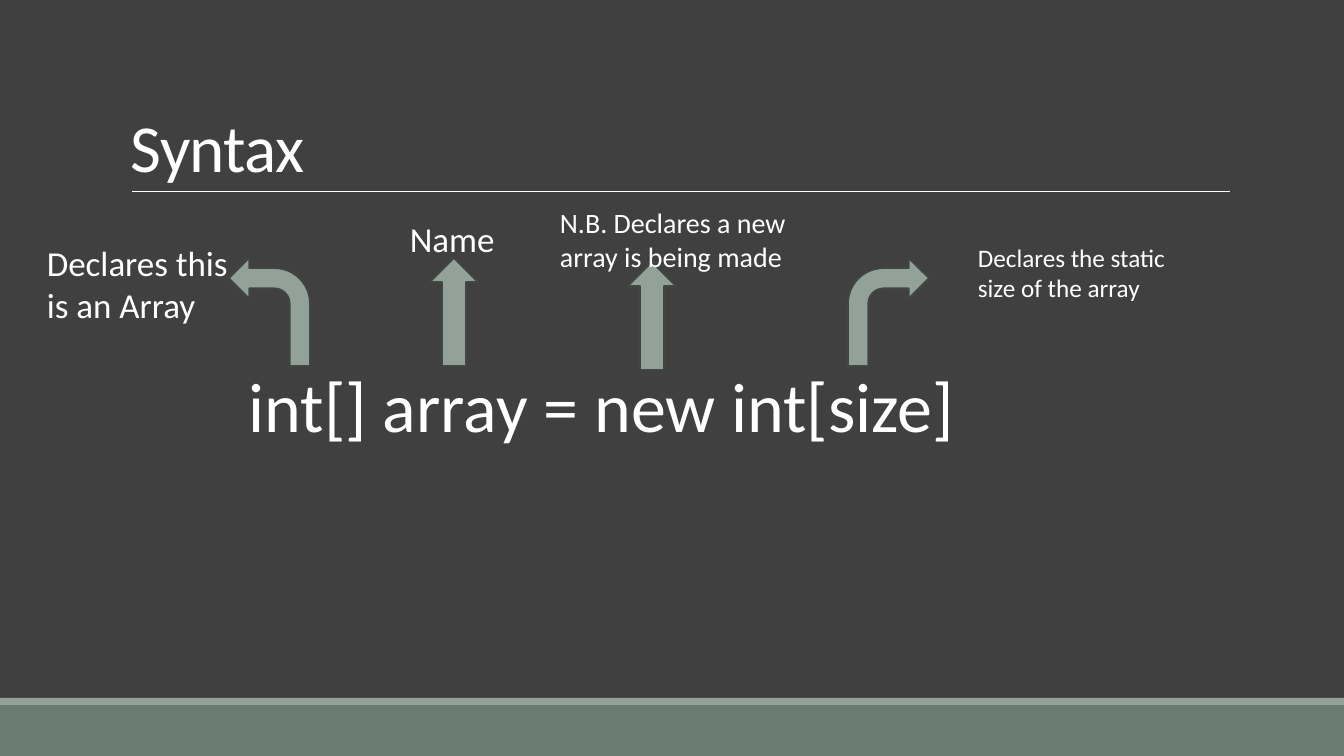
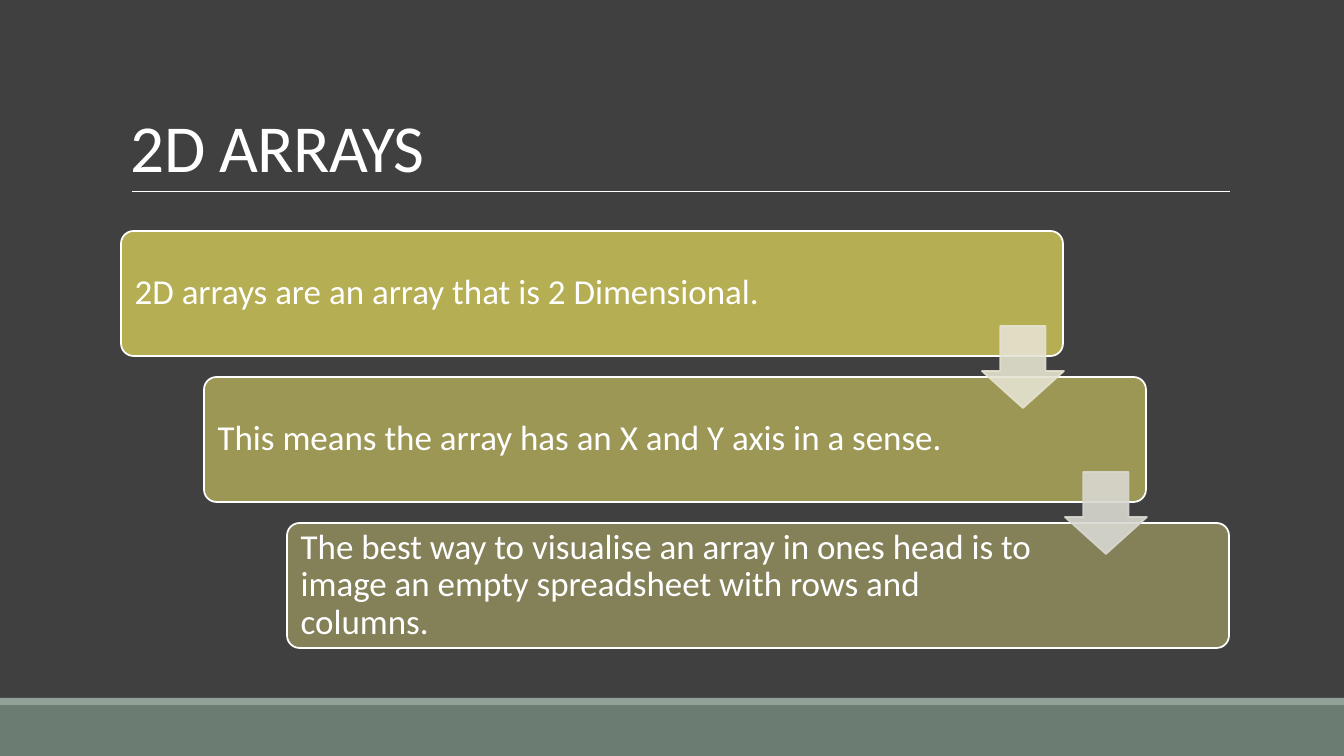
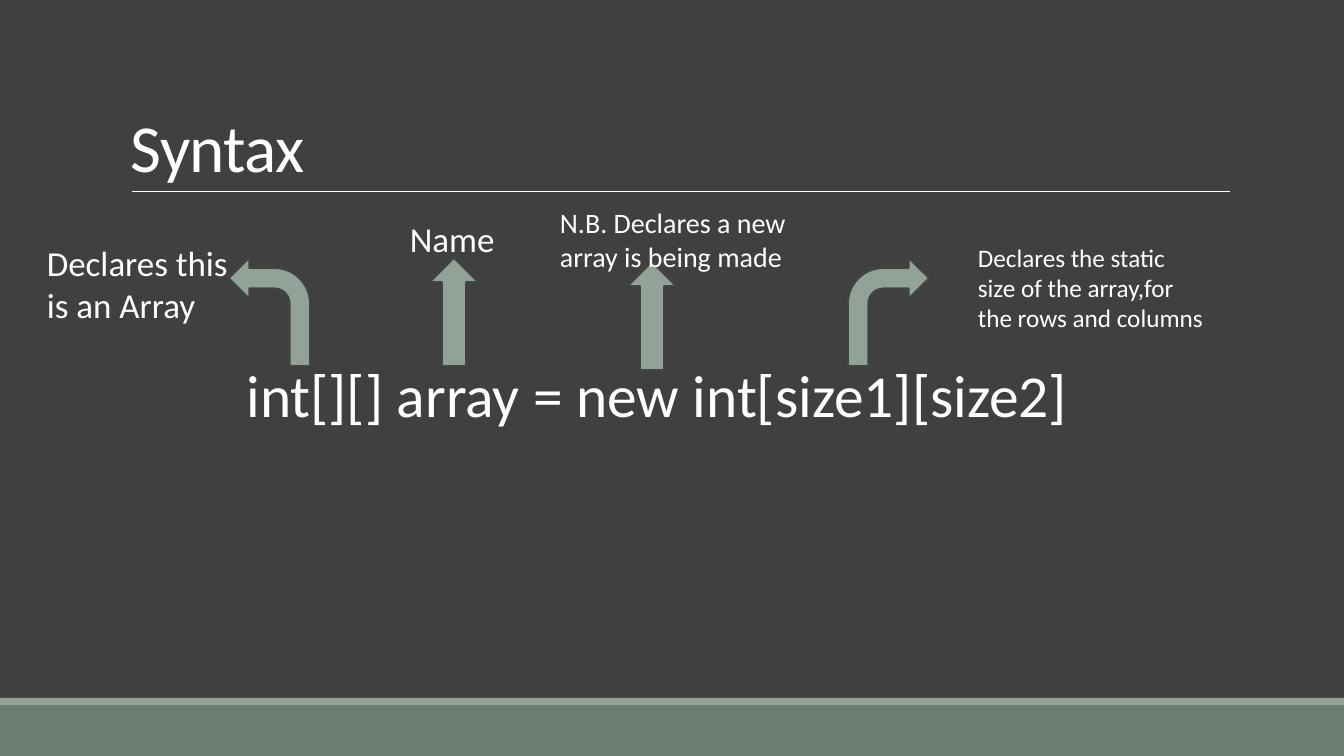
from lxml import etree
from pptx import Presentation
from pptx.dml.color import RGBColor
from pptx.enum.shapes import MSO_CONNECTOR, MSO_SHAPE as SHAPE
from pptx.enum.text import MSO_ANCHOR as ANCHOR, PP_ALIGN as ALIGN
from pptx.oxml.ns import qn
from pptx.util import Inches, Pt

PX = Inches(1) / 100.8
FONT = "Calibri"
BACKGROUND = RGBColor(0x40, 0x40, 0x40)
WHITE = RGBColor(0xFF, 0xFF, 0xFF)
BAND = RGBColor(0x6B, 0x7D, 0x72)
SAGE = RGBColor(0x93, 0xA2, 0x99)
ARROW_EDGE = RGBColor(0x40, 0x47, 0x43)
STEP_FILLS = [
    RGBColor(0xB5, 0xAE, 0x53),
    RGBColor(0x9D, 0x97, 0x55),
    RGBColor(0x84, 0x80, 0x58),
]
STEP_ARROW_FILLS = [RGBColor(0xE5, 0xE3, 0xD1), RGBColor(0xD9, 0xD8, 0xD1)]
BULLET = "B5AE53"


def add_block(slide, kind, box, fill, edge=None):
    block = slide.shapes.add_shape(kind, *[round(v * PX) for v in box])
    block.shadow.inherit = False
    block.fill.solid()
    block.fill.fore_color.rgb = fill
    if edge is None:
        block.line.fill.background()
    else:
        block.line.color.rgb = edge
        block.line.width = Pt(1.25)
    return block


def add_text(slide, box, text, size, holder=None, anchor=ANCHOR.TOP, spacing=1.0):
    if holder is None:
        holder = slide.shapes.add_textbox(*[round(v * PX) for v in box])
    frame = holder.text_frame
    frame.word_wrap = True
    frame.vertical_anchor = anchor
    frame.text = text
    paragraph = frame.paragraphs[0]
    paragraph.alignment = ALIGN.LEFT
    paragraph.line_spacing = spacing
    font = paragraph.runs[0].font
    font.name = FONT
    font.size = Pt(size)
    font.color.rgb = WHITE
    return frame


prs = Presentation()
prs.slide_width = round(1344 * PX)
prs.slide_height = round(756 * PX)
master_fill = prs.slide_master.background.fill
master_fill.solid()
master_fill.fore_color.rgb = BACKGROUND

slides = []
for heading in ["Syntax", "2D ARRAYS", "Syntax"]:
    slide = prs.slides.add_slide(prs.slide_layouts[6])
    add_block(slide, SHAPE.RECTANGLE, (0, 705, 1344, 51), BAND)
    add_block(slide, SHAPE.RECTANGLE, (0, 698, 1344, 7), SAGE)
    rule = slide.shapes.add_connector(
        MSO_CONNECTOR.STRAIGHT, *[round(v * PX) for v in (132, 191, 1230, 191)]
    )
    rule.line.color.rgb = WHITE
    rule.line.width = Pt(0.5)
    etree.SubElement(rule._element.spPr, qn("a:effectLst"))
    title = add_text(
        slide, (121, 31, 1109, 160), heading, 48, anchor=ANCHOR.BOTTOM, spacing=0.85
    )
    title.paragraphs[0].runs[0].font._element.set("spc", "-50")
    slides.append(slide)

one_d, steps_slide, two_d = slides

syntax_variants = [
    (one_d, "int[] array = new int[size]", 50, 0.9,
     "Declares the static size of the array", 72),
    (two_d, "int[][] array = new int[size1][size2]", 42.5, 0.8,
     "Declares the static size of the array,for the rows and columns", 102),
]
for slide, code, code_size, code_spacing, size_note, size_note_height in syntax_variants:
    declaration = add_text(
        slide, (233, 367, 870, 94), code, code_size, spacing=code_spacing
    )
    declaration.margin_left = declaration.margin_right = 0
    code_line = declaration.paragraphs[0]
    code_line.space_before = Pt(12)
    code_line.space_after = Pt(2)
    props = code_line._p.get_or_add_pPr()
    props.set("marL", str(Inches(0.1)))
    props.set("indent", str(-Inches(0.1)))
    bullet_color = etree.SubElement(props, qn("a:buClr"))
    etree.SubElement(bullet_color, qn("a:srgbClr")).set("val", BULLET)
    etree.SubElement(props, qn("a:buFont")).set("typeface", FONT)
    etree.SubElement(props, qn("a:buChar")).set("char", " ")

    for kind, box, flipped in [
        (SHAPE.BENT_ARROW, (229, 258, 81, 108), True),
        (SHAPE.UP_ARROW, (430, 258, 48, 108), False),
        (SHAPE.UP_ARROW, (628, 262, 48, 108), False),
        (SHAPE.BENT_ARROW, (848, 258, 81, 108), False),
    ]:
        pointer = add_block(slide, kind, box, SAGE, ARROW_EDGE)
        if flipped:
            pointer._element.spPr.find(qn("a:xfrm")).set("flipH", "1")

    for box, note, note_size in [
        ((37, 237, 225, 95), "Declares this is an Array", 25),
        ((400, 213, 126, 52), "Name", 25),
        ((550, 201, 260, 78), "N.B. Declares a new array is being made", 20),
        ((968, 237, 250, size_note_height), size_note, 18),
    ]:
        add_text(slide, box, note, note_size)

STEP_DX, STEP_DY = 83, 146
step_texts = [
    "2D arrays are an array that is 2 Dimensional.",
    "This means the array has an X and Y axis in a sense.",
    "The best way to visualise an array in ones head is to "
    "image an empty spreadsheet with rows and columns.",
]
for i, (text, fill) in enumerate(zip(step_texts, STEP_FILLS)):
    box = (121 + i * STEP_DX, 231 + i * STEP_DY, 942, 125)
    card = add_block(steps_slide, SHAPE.ROUNDED_RECTANGLE, box, fill, WHITE)
    card.adjustments[0] = 0.1
    frame = add_text(
        steps_slide, box, text, 25, holder=card, anchor=ANCHOR.MIDDLE, spacing=0.9
    )
    frame.margin_left = round(10 * PX)
    frame.margin_right = round(170 * PX)

for i, fill in enumerate(STEP_ARROW_FILLS):
    box = (982 + i * STEP_DX, 326 + i * STEP_DY, 82, 82)
    arrow = add_block(steps_slide, SHAPE.DOWN_ARROW, box, fill, fill)
    arrow.adjustments[0] = 0.55
    arrow.adjustments[1] = 0.45
    for color in arrow._element.spPr.iter(qn("a:srgbClr")):
        etree.SubElement(color, qn("a:alpha")).set("val", "90000")

prs.save("out.pptx")
